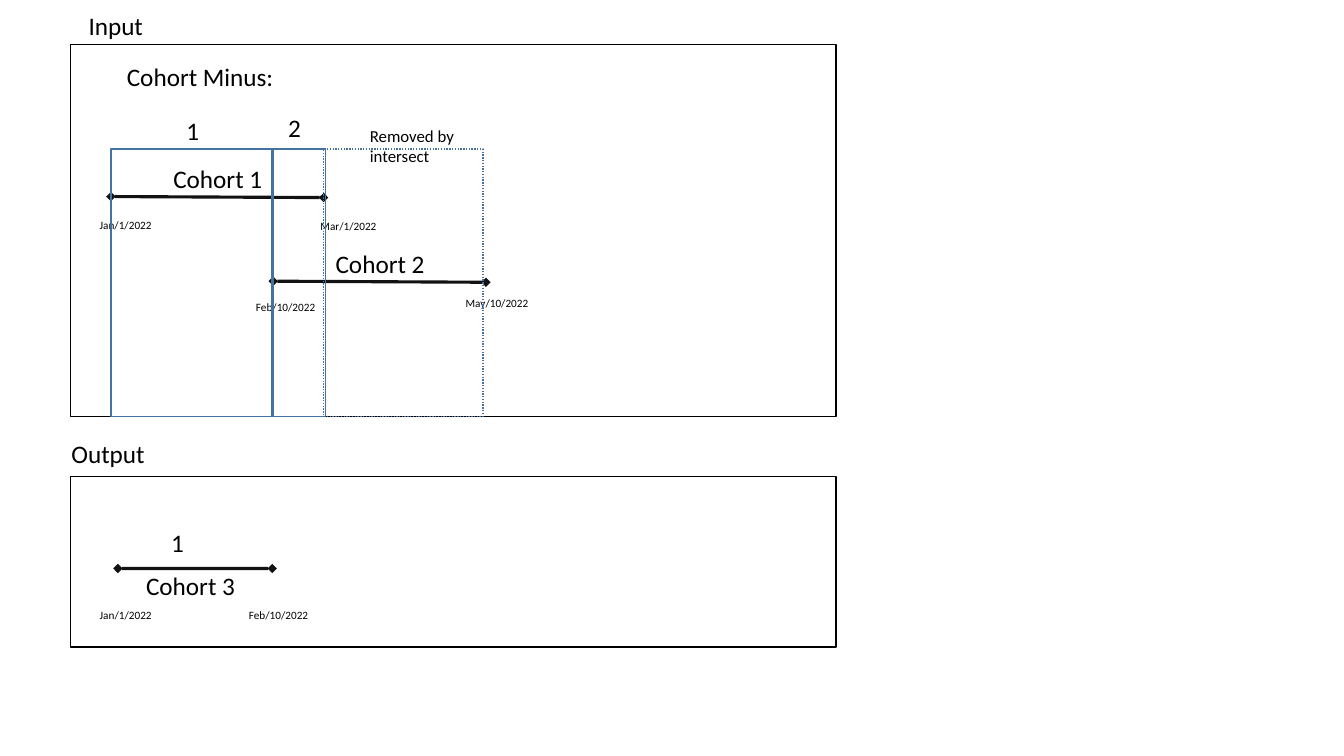
from lxml import etree
from pptx import Presentation
from pptx.dml.color import RGBColor
from pptx.enum.dml import MSO_LINE
from pptx.enum.shapes import MSO_CONNECTOR, MSO_SHAPE
from pptx.enum.text import MSO_AUTO_SIZE
from pptx.oxml.ns import qn
from pptx.util import Emu, Pt

RECT = MSO_SHAPE.RECTANGLE
STRAIGHT = MSO_CONNECTOR.STRAIGHT
DOT = MSO_LINE.ROUND_DOT
GROW = MSO_AUTO_SIZE.SHAPE_TO_FIT_TEXT

BLACK = RGBColor(0x00, 0x00, 0x00)
BLUE = RGBColor(0x43, 0x73, 0x9E)
FONT = "Calibri"
SCALE = 9144  # EMU in one px, 100 px to the inch


def px(*nums):
    return [Emu(n * SCALE) for n in nums]


class Board:
    def __init__(self, slide):
        self.shapes = slide.shapes

    def box(self, x, y, w, h, color=BLACK, dash=None):
        shape = self.shapes.add_shape(RECT, *px(x, y, w, h))
        shape.shadow.inherit = False
        shape.fill.background()
        shape.line.color.rgb = color
        shape.line.width = Pt(1)
        if dash:
            shape.line.dash_style = dash

    def text(self, text, x, y, w, h=40, size=18, color=BLACK):
        frame = self.shapes.add_textbox(*px(x, y, w, h)).text_frame
        frame.word_wrap = True
        frame.auto_size = GROW
        run = frame.paragraphs[0].add_run()
        run.text = text
        run.font.name = FONT
        run.font.size = Pt(size)
        run.font.color.rgb = color

    def date(self, text, x, y, w):
        self.text(text, x, y, w, h=24, size=8)

    def span(self, x1, y1, x2, y2):
        """Period line with a diamond at each end."""
        link = self.shapes.add_connector(STRAIGHT, *px(x1, y1, x2, y2))
        link.line.color.rgb = BLACK
        link.line.width = Pt(2.25)
        props = link._element.spPr
        tone = props.find(".//" + qn("a:srgbClr"))
        etree.SubElement(tone, qn("a:alpha"), val="93000")
        for end in ("a:headEnd", "a:tailEnd"):
            etree.SubElement(link.line._ln, qn(end), type="diamond")
        etree.SubElement(props, qn("a:effectLst"))


def main():
    deck = Presentation()
    deck.slide_width, deck.slide_height = px(1333, 750)
    board = Board(deck.slides.add_slide(deck.slide_layouts[6]))

    # Input panel with two cohorts that overlap
    board.box(70, 44, 759, 369)
    board.text("Input", 78, 5, 177)
    board.text("Cohort Minus:", 116, 56, 560)
    board.span(110, 195, 321, 196)
    board.text("Cohort 1", 162, 157, 122)
    board.date("Jan/1/2022", 89, 212, 73)
    board.date("Mar/1/2022", 308, 213, 97)
    board.span(271, 279, 482, 280)
    board.text("Cohort 2", 323, 241, 122)
    board.date("Feb/10/2022", 244, 293, 92)
    board.date("May/10/2022", 452, 289, 101)

    # Output panel with the cohort that is left
    board.text("Output", 61, 430, 177)
    board.box(70, 473, 759, 169)
    board.span(117, 564, 270, 564)
    board.text("Cohort 3", 135, 561, 122)
    board.date("Jan/1/2022", 89, 599, 88)
    board.date("Feb/10/2022", 237, 599, 101)
    board.text("1", 160, 518, 27)

    # Time windows: kept, shared, removed
    for x, w, dash in ((110, 161, None), (270, 53, None), (321, 158, DOT)):
        board.box(x, 148, w, 265, color=BLUE, dash=dash)
    board.text("1", 175, 109, 27)
    board.text("2", 276, 107, 27)
    board.text("Removed by intersect", 357, 120, 138, h=50, size=12)

    deck.save("out.pptx")


if __name__ == "__main__":
    main()
